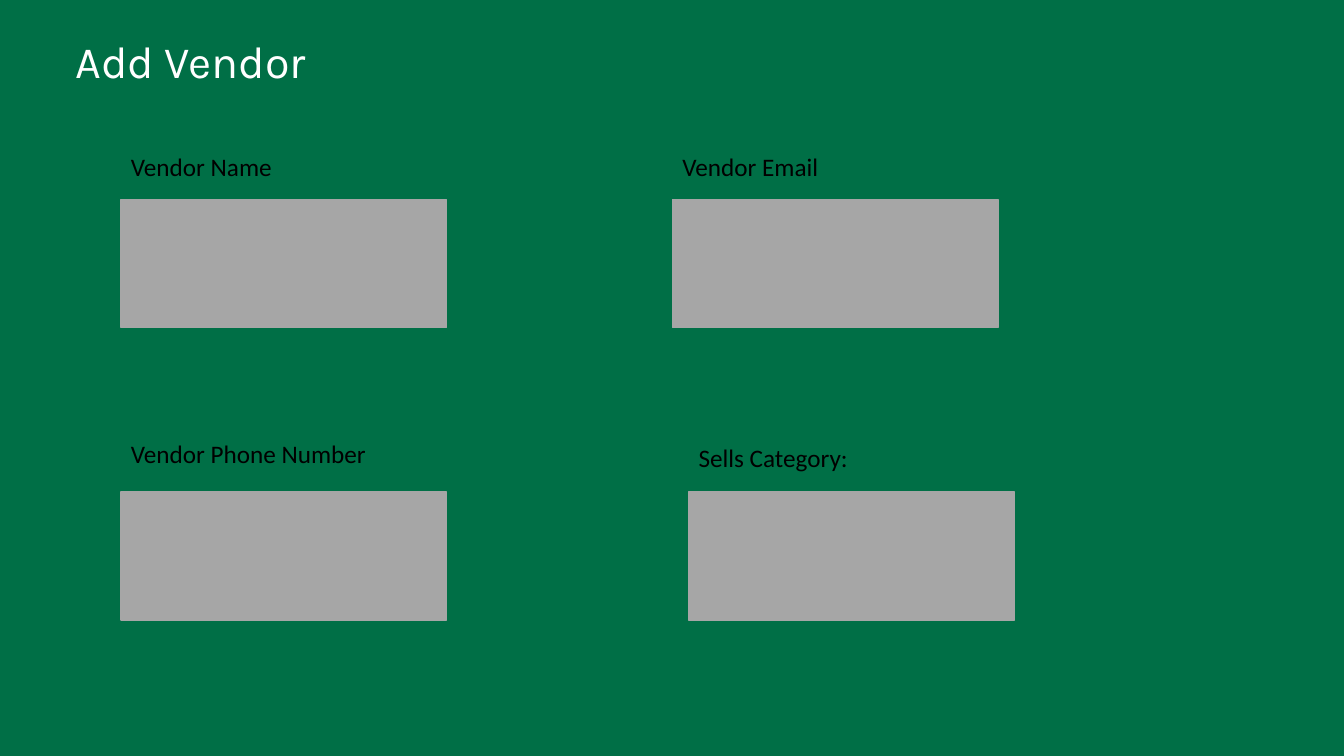
import pptx
import pptx.dml.color
import pptx.enum.shapes
import pptx.util
from pptx.util import Inches

COLORS = {"background": "006F46", "field": "A6A6A6", "title": "FFFFFF", "label": "000000"}


def rgb(name):
    return pptx.dml.color.RGBColor.from_string(COLORS[name])


def add_text(s, text, left, top, width, height, size, font, color):
    tb = s.shapes.add_textbox(Inches(left), Inches(top), Inches(width), Inches(height))
    tf = tb.text_frame
    tf.word_wrap = True
    tf.text = text
    r = tf.paragraphs[0].runs[0]
    r.font.size = pptx.util.Pt(size)
    r.font.name = font
    r.font.color.rgb = rgb(color)


prs = pptx.Presentation()
prs.slide_width = Inches(13.33)
prs.slide_height = Inches(7.5)
s = prs.slides.add_slide(prs.slide_layouts[6])
s.background.fill.solid()
s.background.fill.fore_color.rgb = rgb("background")

add_text(s, "Add Vendor", 0.65, 0.29, 4.86, 0.64, 32, "Karla", "title")

# label, left, label top, label width, field top
fields = [
    ("Vendor Name", 1.2, 1.45, 2.48, 1.98),
    ("Vendor Email", 6.67, 1.45, 2.48, 1.98),
    ("Vendor Phone Number", 1.2, 4.3, 2.71, 4.88),
    ("Sells Category:", 6.83, 4.34, 2.48, 4.88),
]
for label, left, label_top, label_width, field_top in fields:
    sp = s.shapes.add_shape(
        pptx.enum.shapes.MSO_SHAPE.RECTANGLE,
        Inches(left), Inches(field_top), Inches(3.23), Inches(1.27),
    )
    sp.shadow.inherit = False
    sp.fill.solid()
    sp.fill.fore_color.rgb = rgb("field")
    sp.line.color.rgb = rgb("field")
    sp.line.width = pptx.util.Pt(1)
    add_text(s, label, left, label_top, label_width, 0.4, 18, "Calibri", "label")

prs.save("out.pptx")
